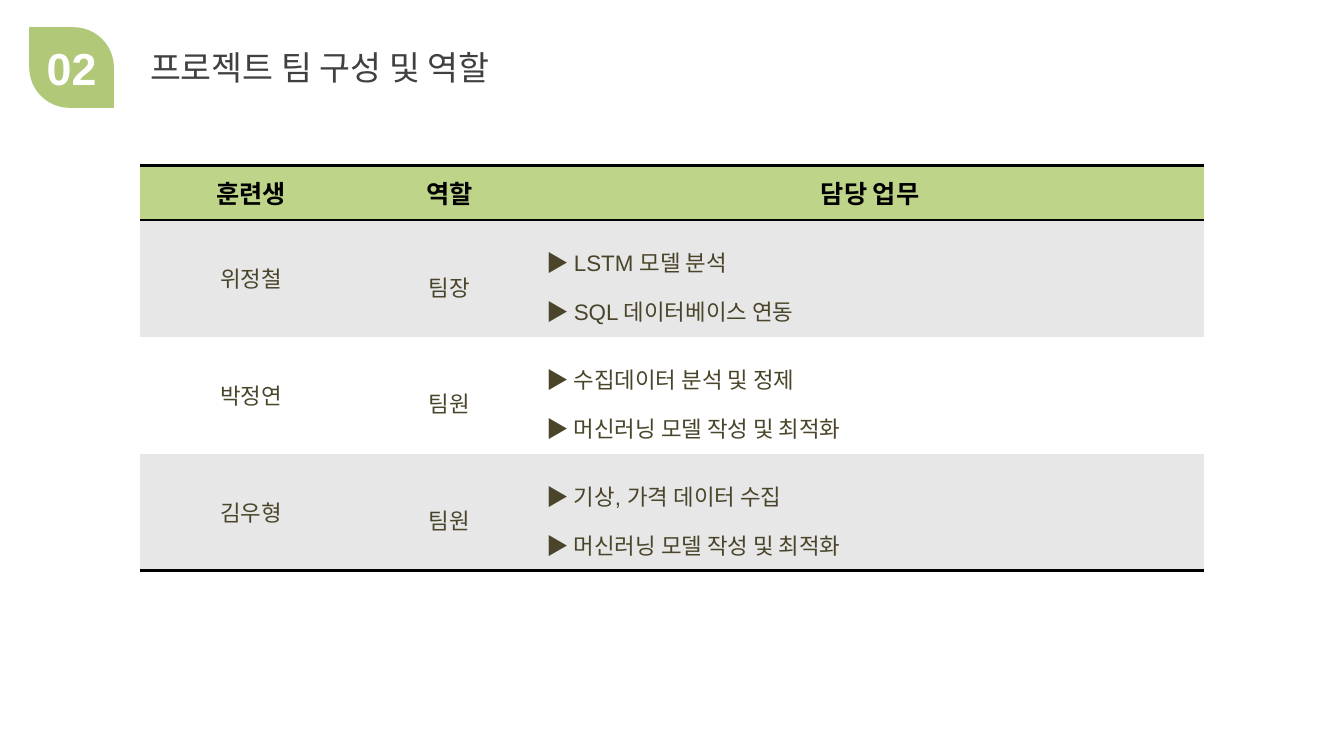
"""Build the project team and roles slide."""
import dataclasses
import typing

import pptx
import pptx.dml.color
import pptx.enum.shapes
import pptx.enum.text
import pptx.oxml
import pptx.oxml.ns
import pptx.util

Inches = pptx.util.Inches
Pt = pptx.util.Pt
RGB = pptx.dml.color.RGBColor
Align = pptx.enum.text.PP_ALIGN
Anchor = pptx.enum.text.MSO_ANCHOR
NS = pptx.oxml.ns.nsdecls("a")


@dataclasses.dataclass(frozen=True)
class Theme:
    latin: str = "Arial"
    hangul: str = "Noto Sans CJK KR"
    leaf: str = "90B141"
    head: str = "BED489"
    band: str = "E7E7E7"
    white: str = "FFFFFF"
    black: str = "000000"
    title: str = "404040"
    body: str = "4A452A"
    big: int = 32
    large: int = 24
    medium: int = 18
    small: int = 16


@dataclasses.dataclass(frozen=True)
class Member:
    name: str
    role: str
    tasks: tuple[str, ...]


@dataclasses.dataclass(frozen=True)
class Style:
    size: int
    color: str
    face: str
    bold: bool = False
    align: typing.Any = Align.CENTER
    space: float = 1.0


THEME = Theme()
NUMBER = Style(THEME.big, THEME.white, THEME.latin, bold=True)
TITLE = Style(THEME.large, THEME.title, THEME.hangul, align=Align.LEFT)
HEAD = Style(THEME.medium, THEME.black, THEME.hangul, bold=True)
NAME = Style(THEME.small, THEME.body, THEME.latin)
ROLE = dataclasses.replace(NAME, space=1.5)
TASK = dataclasses.replace(ROLE, align=Align.LEFT)

HEADS = ("훈련생", "역할", "담당 업무")
TEAM = (
    Member("위정철", "팀장", ("LSTM 모델 분석", "SQL 데이터베이스 연동")),
    Member("박정연", "팀원", ("수집데이터 분석 및 정제", "머신러닝 모델 작성 및 최적화")),
    Member("김우형", "팀원", ("기상, 가격 데이터 수집", "머신러닝 모델 작성 및 최적화")),
)
WIDTHS = (2.2, 1.73, 6.62)
HEIGHTS = (0.54,) + (1.16,) * len(TEAM)
PLAIN = "{2D5ABB26-0587-4C30-8999-92F81FD0307C}"


def format_par(par: typing.Any, style: Style) -> None:
    par.alignment = style.align
    par.line_spacing = style.space
    font = par.font
    font.size = Pt(style.size)
    font.bold = style.bold
    font.color.rgb = RGB.from_string(style.color)
    font.name = style.face


def write_lines(frame: typing.Any, lines: tuple[str, ...], style: Style, mark: str = "") -> None:
    for index, line in enumerate(lines):
        par = frame.add_paragraph() if index else frame.paragraphs[0]
        if mark:
            run = par.add_run()
            run.text = mark
            run.font.name = THEME.hangul
        run = par.add_run()
        run.text = line
        if mark:
            run.font.name = style.face
        format_par(par, style)


def add_label(slide: typing.Any, box: tuple[float, ...], text: str, style: Style, wrap: bool) -> None:
    frame = slide.shapes.add_textbox(*map(Inches, box)).text_frame
    frame.word_wrap = wrap
    write_lines(frame, (text,), style)


def add_leaf(slide: typing.Any) -> None:
    kind = pptx.enum.shapes.MSO_SHAPE.ROUND_2_DIAG_RECTANGLE
    leaf = slide.shapes.add_shape(kind, *map(Inches, (0.29, 0.27, 0.84, 0.8)))
    leaf.adjustments[0] = 0
    leaf.adjustments[1] = 0.5
    leaf.shadow.inherit = False
    leaf.line.fill.background()
    leaf.fill.solid()
    leaf.fill.fore_color.rgb = RGB.from_string(THEME.leaf)
    color = leaf.fill._xPr.find(".//" + pptx.oxml.ns.qn("a:srgbClr"))
    color.append(pptx.oxml.parse_xml(f'<a:alpha {NS} val="70000"/>'))


def paint_cell(cell: typing.Any, fill: str, sides: str) -> None:
    cell.vertical_anchor = Anchor.MIDDLE
    for side in sides:
        cell._tc.get_or_add_tcPr().append(pptx.oxml.parse_xml(
            f'<a:ln{side} {NS} w="{Pt(2)}"><a:solidFill>'
            f'<a:srgbClr val="{THEME.black}"/></a:solidFill></a:ln{side}>'))
    cell.fill.solid()
    cell.fill.fore_color.rgb = RGB.from_string(fill)


def add_team(slide: typing.Any) -> None:
    box = map(Inches, (1.39, 1.64, sum(WIDTHS), sum(HEIGHTS)))
    frame = slide.shapes.add_table(len(HEIGHTS), len(WIDTHS), *box)
    table = frame.table
    table.horz_banding = False
    table.first_row = False
    table._tbl.tblPr.find(pptx.oxml.ns.qn("a:tableStyleId")).text = PLAIN
    for column, width in zip(table.columns, WIDTHS):
        column.width = Inches(width)
    for row, height in zip(table.rows, HEIGHTS):
        row.height = Inches(height)
    for col, text in enumerate(HEADS):
        cell = table.cell(0, col)
        write_lines(cell.text_frame, (text,), HEAD)
        paint_cell(cell, THEME.head, "TB")
    for row, member in enumerate(TEAM, 1):
        cells = table.rows[row].cells
        write_lines(cells[0].text_frame, (member.name,), NAME)
        write_lines(cells[1].text_frame, (member.role,), ROLE)
        write_lines(cells[2].text_frame, member.tasks, TASK, "▶ ")
        for cell in cells:
            paint_cell(cell, THEME.band if row % 2 else THEME.white, "B" if row == len(TEAM) else "")


def main() -> None:
    deck = pptx.Presentation()
    deck.slide_width = Inches(13.33)
    deck.slide_height = Inches(7.5)
    slide = deck.slides.add_slide(deck.slide_layouts[6])
    add_leaf(slide)
    add_label(slide, (0.34, 0.36, 0.74, 0.64), "02", NUMBER, True)
    add_label(slide, (1.39, 0.42, 4.24, 0.5), "프로젝트 팀 구성 및 역할", TITLE, False)
    add_team(slide)
    deck.save("out.pptx")


if __name__ == "__main__":
    main()
